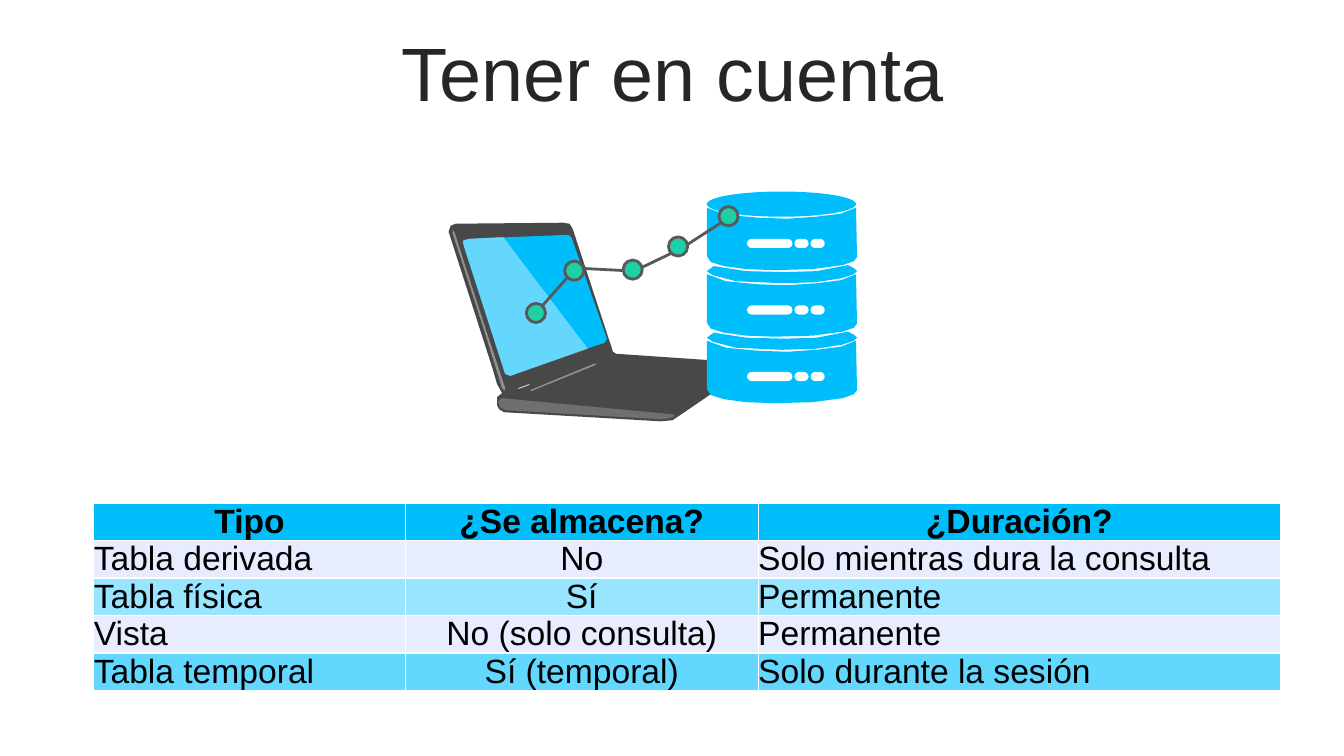
import pptx
import pptx.util
import pptx.dml.color
import pptx.enum.shapes
import pptx.enum.text
import pptx.oxml
import pptx.oxml.ns

PX = 9144
FONT = "Arial"
COLORS = {
    "title": "262626", "text": "000000", "white": "FFFFFF", "blue": "00BDFB",
    "pale": "E7ECFF", "sky": "97E5FF", "aqua": "63D8FF", "case": "484848",
    "edge": "6F6F6F", "hinge": "909090", "slot": "D0D0D0", "line": "595959", "node": "1ED0A6",
}
MSO_SHAPE = pptx.enum.shapes.MSO_SHAPE
PP_ALIGN = pptx.enum.text.PP_ALIGN
MIDDLE = pptx.enum.text.MSO_ANCHOR.MIDDLE


def paint(shape, color):
    shape.shadow.inherit = False
    shape.fill.solid()
    shape.fill.fore_color.rgb = pptx.dml.color.RGBColor.from_string(COLORS[color])
    shape.line.fill.background()


def add_outline(shapes, points, color, drop=0):
    dropped = [(x, y + drop) for x, y in points]
    builder = shapes.build_freeform(*dropped[0], scale=PX)
    builder.add_line_segments(dropped[1:], close=True)
    shape = builder.convert_to_shape()
    paint(shape, color)
    return shape


presentation = pptx.Presentation()
presentation.slide_width = 1333 * PX
presentation.slide_height = 750 * PX
slide = presentation.slides.add_slide(presentation.slide_layouts[5])

title = slide.shapes.title
title.left, title.top, title.width, title.height = [v * PX for v in (34, 37, 1266, 79)]
title.text_frame.vertical_anchor = MIDDLE
title.text_frame.auto_size = pptx.enum.text.MSO_AUTO_SIZE.NONE
paragraph = title.text_frame.paragraphs[0]
paragraph.alignment = PP_ALIGN.CENTER
paragraph.line_spacing = 0.9
run = paragraph.add_run()
run.text = "Tener en cuenta"
run.font.name = FONT
run.font.size = pptx.util.Pt(54)
run.font.color.rgb = pptx.dml.color.RGBColor.from_string(COLORS["title"])

rows = [
    ("blue", "Tipo", "¿Se almacena?", "¿Duración?"),
    ("pale", "Tabla derivada", "No", "Solo mientras dura la consulta"),
    ("sky", "Tabla física", "Sí", "Permanente"),
    ("pale", "Vista", "No (solo consulta)", "Permanente"),
    ("aqua", "Tabla temporal", "Sí (temporal)", "Solo durante la sesión"),
]
column_widths = [309, 350, 518]
row_height = 37
table = slide.shapes.add_table(
    len(rows), len(column_widths), 93 * PX, 499 * PX,
    sum(column_widths) * PX, len(rows) * row_height * PX).table
table.horz_banding = False
for column, width in zip(table.columns, column_widths):
    column.width = width * PX
for row_index, (color, *texts) in enumerate(rows):
    table.rows[row_index].height = row_height * PX
    for column_index, text in enumerate(texts):
        cell = table.cell(row_index, column_index)
        cell.margin_left = cell.margin_right = cell.margin_top = cell.margin_bottom = 0
        cell.vertical_anchor = MIDDLE
        properties = cell._tc.get_or_add_tcPr()
        for side in ("lnL", "lnR", "lnT", "lnB"):
            properties.append(pptx.oxml.parse_xml(
                f'<a:{side} {pptx.oxml.ns.nsdecls("a")} w="12700"><a:solidFill>'
                f'<a:srgbClr val="{COLORS["white"]}"/></a:solidFill></a:{side}>'))
        cell.fill.solid()
        cell.fill.fore_color.rgb = pptx.dml.color.RGBColor.from_string(COLORS[color])
        paragraph = cell.text_frame.paragraphs[0]
        centered = row_index == 0 or column_index == 1
        paragraph.alignment = PP_ALIGN.CENTER if centered else PP_ALIGN.LEFT
        run = paragraph.add_run()
        run.text = text
        run.font.name = FONT
        run.font.size = pptx.util.Pt(24)
        run.font.bold = row_index == 0
        run.font.color.rgb = pptx.dml.color.RGBColor.from_string(COLORS["text"])

laptop = slide.shapes.add_group_shape().shapes
laptop_case = [
    (742, 360), (611, 351), (608, 349), (568, 227), (565, 222), (558, 221), (452, 222),
    (447, 224), (445, 230), (489, 367), (493, 381), (498, 390), (493, 394), (493, 402),
    (495, 406), (500, 409), (655, 418), (667, 417), (676, 411), (740, 367), (742, 360)]
screen = [
    (602, 336), (567, 236), (564, 233), (465, 237), (459, 239), (460, 244),
    (501, 371), (506, 373), (582, 346), (600, 340)]
glare = [(583, 346), (499, 235), (464, 237), (459, 239), (460, 244), (501, 371), (506, 373)]
front_edge = [
    (657, 416), (502, 407), (496, 404), (494, 398), (498, 395), (667, 411),
    (669, 412), (667, 414)]
side_strip = [(501, 388), (498, 385), (478, 321), (449, 232), (449, 228), (451, 231),
              (477, 312), (501, 385)]
hinge = [(527, 388), (526, 387), (589, 361), (592, 361), (589, 363)]
slot = [(514, 385), (525, 381), (525, 382), (514, 386)]
add_outline(laptop, laptop_case, "case")
add_outline(laptop, screen, "blue")
glare_shape = add_outline(laptop, glare, "white")
glare_color = glare_shape._element.find(".//" + pptx.oxml.ns.qn("a:srgbClr"))
glare_color.append(pptx.oxml.parse_xml(f'<a:alpha {pptx.oxml.ns.nsdecls("a")} val="40000"/>'))
for part, color in ((front_edge, "edge"), (side_strip, "hinge"), (hinge, "hinge"), (slot, "slot")):
    add_outline(laptop, part, color)

database = slide.shapes.add_group_shape().shapes
disk_body = [
    (701, 206), (720, 213), (752, 216), (781, 217), (810, 215), (834, 212), (849, 206),
    (850, 255), (847, 259), (836, 263), (806, 267), (768, 268), (740, 267), (718, 264),
    (705, 260), (701, 254)]
lower_rim = [
    (776, 281), (730, 279), (707, 273), (701, 269), (708, 264), (740, 269), (779, 270),
    (810, 269), (841, 263), (847, 266), (850, 269), (847, 272), (835, 276), (809, 280)]
disk_drops = [0, 66, 132]
for drop in disk_drops:
    add_outline(database, disk_body, "blue", drop)
    for left, width in ((741, 45), (788, 14), (804, 14)):
        light = database.add_shape(
            MSO_SHAPE.ROUNDED_RECTANGLE, left * PX, (237 + drop) * PX, width * PX, 9 * PX)
        light.adjustments[0] = 0.5
        paint(light, "white")
top_lid = database.add_shape(MSO_SHAPE.OVAL, 701 * PX, 190 * PX, 148 * PX, 25 * PX)
paint(top_lid, "blue")
for drop in disk_drops[:2]:
    add_outline(database, lower_rim, "blue", drop)

graph = slide.shapes.add_group_shape().shapes
line_points = [(532, 310), (571, 266), (629, 269), (675, 247), (723, 216)]
builder = graph.build_freeform(*line_points[0], scale=PX)
builder.add_line_segments(line_points[1:], close=False)
graph_line = builder.convert_to_shape()
graph_line.shadow.inherit = False
graph_line.fill.background()
outlined = [graph_line]
for left, top in ((522, 301), (560, 259), (618, 258), (663, 235), (713, 205)):
    node = graph.add_shape(MSO_SHAPE.OVAL, left * PX, top * PX, 19 * PX, 19 * PX)
    paint(node, "node")
    outlined.append(node)
for shape in outlined:
    shape.line.color.rgb = pptx.dml.color.RGBColor.from_string(COLORS["line"])
    shape.line.width = pptx.util.Pt(2)

presentation.save("out.pptx")
